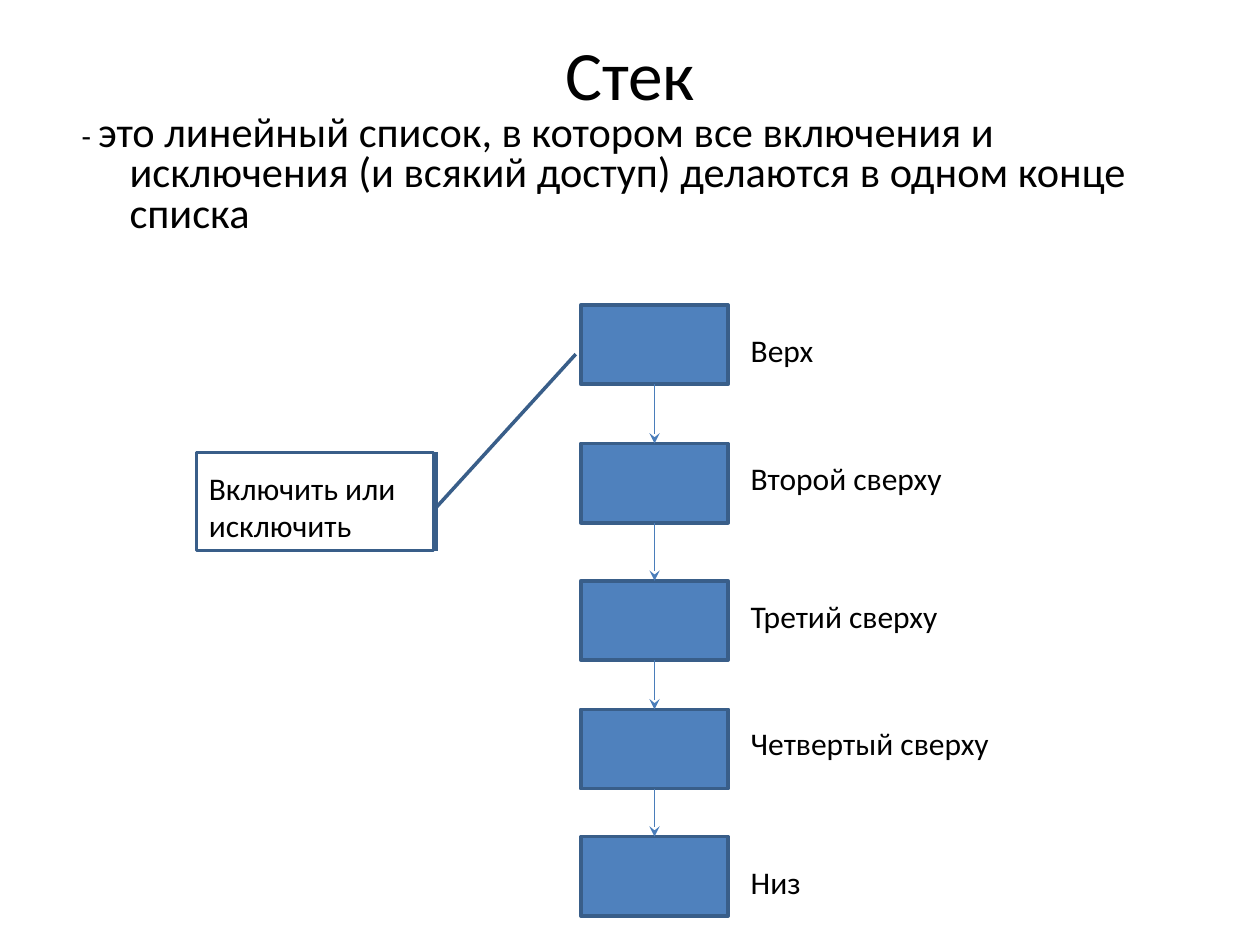
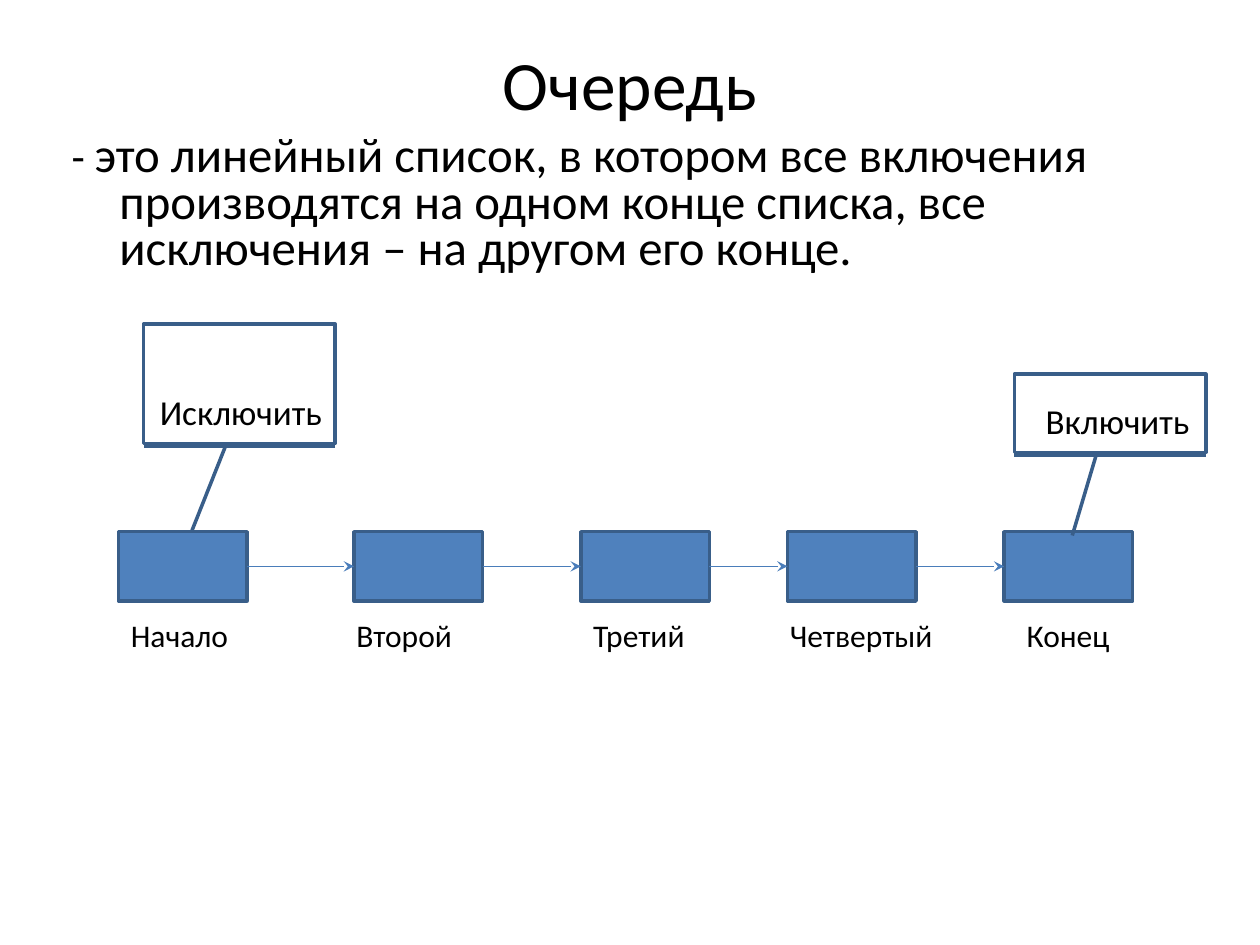
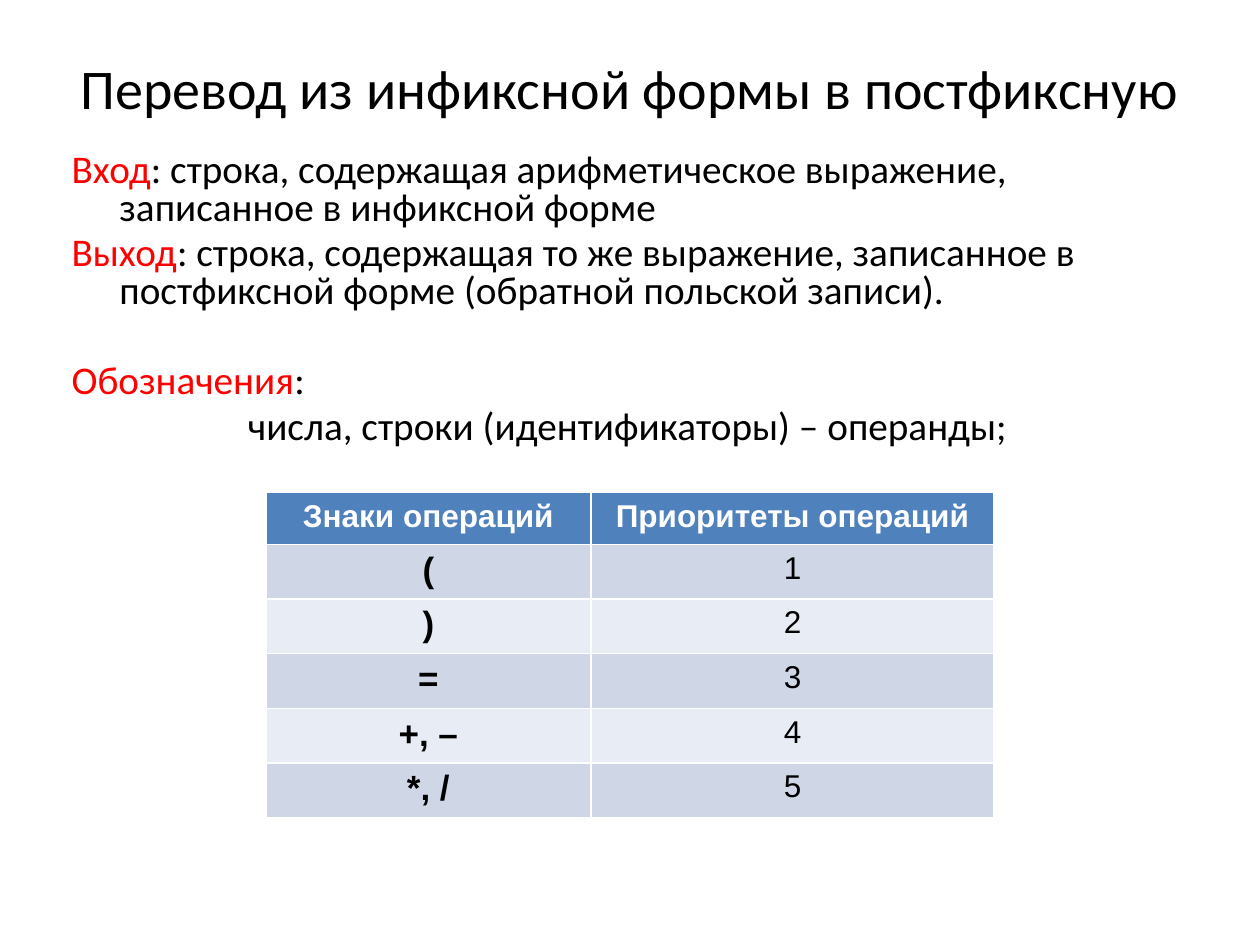
from itertools import pairwise
from pptx import Presentation
from pptx.dml.color import RGBColor
from pptx.enum.shapes import MSO_CONNECTOR, MSO_SHAPE
from pptx.enum.text import MSO_ANCHOR, MSO_AUTO_SIZE, PP_ALIGN
from pptx.oxml.ns import qn
from pptx.util import Inches, Pt
from lxml.etree import SubElement

BLUE, EDGE, ARROW = "4F81BD", "395E89", "4A7DBA"
BLACK, WHITE, RED = "000000", "FFFFFF", "FF0000"
BANDS = ("CFD7E7", "E8ECF4")
TOP, LEFT, BOTTOM, RIGHT = range(4)
HANGING = 0.38
BAR_GAP = 0.02

prs = Presentation()
prs.slide_width, prs.slide_height = Inches(10), Inches(7.5)


def color(hex_value):
    return RGBColor.from_string(hex_value)


def inches(box):
    return [Inches(length) for length in box]


def set_font(font, size, hex_value=BLACK, name="Calibri", bold=False):
    font.name, font.size, font.bold = name, Pt(size), bold
    font.color.rgb = color(hex_value)


def add_titled_slide(title, height, size=39.6):
    slide = prs.slides.add_slide(prs.slide_layouts[5])
    heading = slide.shapes.title
    heading.left, heading.top, heading.width, heading.height = inches((0.5, 0.3, 9, height))
    frame = heading.text_frame
    frame.text = title
    frame.auto_size = MSO_AUTO_SIZE.NONE
    frame.vertical_anchor = MSO_ANCHOR.MIDDLE
    frame.paragraphs[0].alignment = PP_ALIGN.CENTER
    set_font(frame.paragraphs[0].font, size)
    return slide


def add_body(slide, box, paragraphs, size):
    frame = slide.shapes.add_textbox(*inches(box)).text_frame
    frame.word_wrap = True
    for number, (lead, rest, lead_style, before, margin, indent) in enumerate(paragraphs):
        line = frame.add_paragraph() if number else frame.paragraphs[0]
        line.line_spacing, line.space_before = 0.8, Pt(before)
        properties = line._p.get_or_add_pPr()
        properties.set("marL", str(Inches(margin)))
        properties.set("indent", str(Inches(indent)))
        set_font(line.font, size)
        if lead:
            run = line.add_run()
            run.text = lead
            set_font(run.font, *lead_style)
        line.add_run().text = rest


def add_definition(slide, box, text, dash_size, size):
    add_body(slide, box, [("- ", text, (dash_size,), 0, HANGING, -HANGING)], size)


def add_label(slide, box, lines, size=18):
    frame = slide.shapes.add_textbox(*inches(box)).text_frame
    frame.word_wrap = False
    frame.auto_size = MSO_AUTO_SIZE.SHAPE_TO_FIT_TEXT
    frame.text = lines
    for line in frame.paragraphs:
        set_font(line.font, size)


def add_node(slide, box):
    node = slide.shapes.add_shape(MSO_SHAPE.RECTANGLE, *inches(box))
    node.shadow.inherit = False
    node.fill.solid()
    node.fill.fore_color.rgb = color(BLUE)
    node.line.color.rgb = color(EDGE)
    node.line.width = Pt(2)
    return node


def link_nodes(slide, nodes, exit_side, entry_side):
    for source, target in pairwise(nodes):
        arrow = slide.shapes.add_connector(MSO_CONNECTOR.STRAIGHT, 0, 0, 0, 0)
        arrow.begin_connect(source, exit_side)
        arrow.end_connect(target, entry_side)
        arrow.line.color.rgb = color(ARROW)
        arrow.line.width = Pt(0.75)
        SubElement(arrow.line._get_or_add_ln(), qn("a:tailEnd"), type="stealth")
        SubElement(arrow._element.spPr, qn("a:effectLst"))


def add_callout(slide, box, bar_point, tip, bar_below=False):
    left, top, width, height = box
    if bar_below:
        frame = (left + (width - height) / 2, top + (height - width) / 2, height, width)
    else:
        frame = box
    callout = slide.shapes.add_shape(
        MSO_SHAPE.LINE_CALLOUT_1_BORDER_AND_ACCENT_BAR, *inches(frame))
    callout.rotation = 90 if bar_below else 0
    callout.shadow.inherit = False
    callout.fill.background()
    callout.line.color.rgb = color(EDGE)
    callout.line.width = Pt(2)
    for start, (x, y) in zip((0, 2), (bar_point, tip)):
        across, down = (x - left) / width, (y - top) / height
        if bar_below:
            across, down = down, 1 - across
        callout.adjustments[start] = down
        callout.adjustments[start + 1] = across


def add_stack(slide, left, top, steps):
    nodes = []
    for offset, label_drop, name, label_width in steps:
        nodes.append(add_node(slide, (left, top + offset, 1.17, 0.63)))
        add_label(slide, (left + 1.25, top + offset + label_drop, label_width, 0.4), name)
    link_nodes(slide, nodes, BOTTOM, TOP)


def add_queue(slide, left, top, steps):
    nodes = []
    for offset, label_shift, name, label_width in steps:
        nodes.append(add_node(slide, (left + offset, top, 1.02, 0.55)))
        add_label(slide, (left + offset + label_shift, top + 0.62, label_width, 0.4), name)
    link_nodes(slide, nodes, RIGHT, LEFT)


def add_priorities(slide, left, top, column_widths, row_height, header, signs):
    rows = [header] + [(sign, str(rank)) for rank, sign in enumerate(signs, 1)]
    table = slide.shapes.add_table(
        len(rows), len(header),
        *inches((left, top, sum(column_widths), row_height * len(rows)))).table
    for column, width in zip(table.columns, column_widths):
        column.width = Inches(width)
    for r, row in enumerate(rows):
        for c, text in enumerate(row):
            cell = table.cell(r, c)
            cell.text = text
            cell.fill.solid()
            cell.fill.fore_color.rgb = color(BANDS[(r - 1) % 2] if r else BLUE)
            line = cell.text_frame.paragraphs[0]
            line.alignment = PP_ALIGN.CENTER
            is_sign = r > 0 and c == 0
            set_font(line.font, 20 if is_sign else 18, BLACK if r else WHITE,
                     "Arial", bold=r == 0 or is_sign)


stack = add_titled_slide("Стек", 0.56)
add_definition(stack, (0.55, 0.86, 9, 1.09),
               "это линейный список, в котором все включения и исключения "
               "(и всякий доступ) делаются в одном конце списка", 17.6, 24.2)
add_stack(stack, 4.61, 2.42, [
    (0, 0.16, "Верх", 0.7),
    (1.1, 0.07, "Второй сверху", 1.74),
    (2.19, 0.08, "Третий сверху", 1.7),
    (3.21, 0.07, "Четвертый сверху", 2.11),
    (4.22, 0.16, "Низ", 0.6),
])
add_callout(stack, (1.56, 3.59, 1.88, 0.78), (3.44 + BAR_GAP, 4.03), (4.57, 2.81))
add_label(stack, (1.56, 3.67, 1.7, 0.71), "Включить или\nисключить")

queue = add_titled_slide("Очередь", 0.72)
add_definition(queue, (0.47, 1.02, 9, 1.3),
               "это линейный список, в котором все включения производятся на одном "
               "конце списка, все исключения – на другом его конце.", 24.8, 27.9)
add_queue(queue, 0.94, 4.22, [
    (0, 0, "Начало", 0.98),
    (1.87, -0.08, "Второй", 0.97),
    (3.67, 0, "Третий", 0.94),
    (5.31, -0.08, "Четвертый", 1.35),
    (7.03, 0.08, "Конец", 0.87),
])
add_callout(queue, (1.14, 2.57, 1.52, 0.95), (1.79, 3.52 + BAR_GAP), (1.52, 4.22), bar_below=True)
add_label(queue, (1.17, 3.05, 1.5, 0.44), "Исключить", 20)
add_callout(queue, (8.05, 2.97, 1.52, 0.62), (8.7, 3.59 + BAR_GAP), (8.51, 4.25), bar_below=True)
add_label(queue, (8.2, 3.12, 1.35, 0.44), "Включить", 20)

postfix = add_titled_slide("Перевод из инфиксной формы в постфиксную", 0.79, 32)
term = (22.4, RED)
add_body(postfix, (0.47, 1.17, 9, 2.58), [
    ("Вход", ": строка, содержащая арифметическое выражение, записанное в инфиксной форме",
     term, 0, HANGING, -HANGING),
    ("Выход", ": строка, содержащая то же выражение, записанное в постфиксной форме "
     "(обратной польской записи).", term, 4.5, HANGING, -HANGING),
    ("Обозначения", ":", term, 30, HANGING, -HANGING),
    ("", "числа, строки (идентификаторы) – операнды;", term, 4.5, 1.4, 0),
], 22.4)
add_priorities(postfix, 2.11, 3.91, (2.58, 3.2), 0.41,
               ("Знаки операций", "Приоритеты операций"),
               ("(", ")", "=", "+, –", "*, /"))

prs.save("out.pptx")
